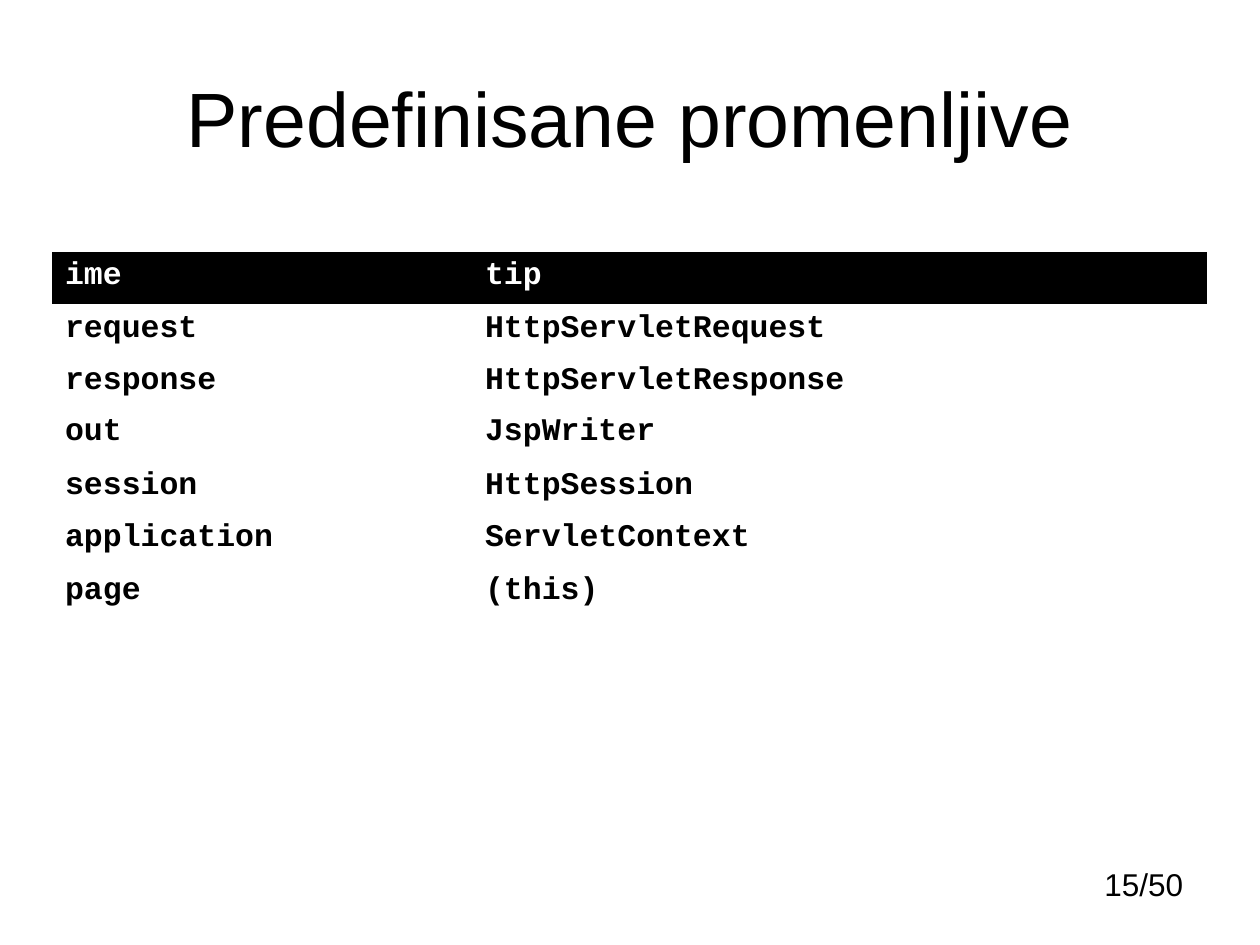
import pptx
import pptx.util
import pptx.dml.color
import pptx.enum.text
from pptx.util import Pt

TITLE = "Predefinisane promenljive"
PAGE_NUMBER = "15/50"
VARIABLES = [
    ("ime", "tip"),
    ("request", "HttpServletRequest"),
    ("response", "HttpServletResponse"),
    ("out", "JspWriter"),
    ("session", "HttpSession"),
    ("application", "ServletContext"),
    ("page", "(this)"),
]
COLUMN_WIDTHS = (240, 420)
ROW_HEIGHTS = (30, 30, 29, 31, 30, 30, 30)
COLORS = {"ink": "000000", "paper": "FFFFFF"}
NO_STYLE_NO_GRID = "{2D5ABB26-0587-4C30-8999-92F81FD0307C}"
ALIGN = pptx.enum.text.PP_ALIGN


def rgb(name):
    return pptx.dml.color.RGBColor.from_string(COLORS[name])


def write(frame, text, size, font="Arial", color="ink", bold=False, align=ALIGN.LEFT):
    frame.text = text
    paragraph = frame.paragraphs[0]
    paragraph.alignment = align
    run_font = paragraph.runs[0].font
    run_font.name = font
    run_font.size = Pt(size)
    run_font.bold = bold
    run_font.color.rgb = rgb(color)


def place(shape, left, top, width, height):
    shape.left, shape.top = Pt(left), Pt(top)
    shape.width, shape.height = Pt(width), Pt(height)


def add_variable_table(slide):
    frame = slide.shapes.add_table(
        len(VARIABLES), len(COLUMN_WIDTHS),
        Pt(30), Pt(144), Pt(sum(COLUMN_WIDTHS)), Pt(sum(ROW_HEIGHTS)))
    table = frame.table
    table.horz_banding = False
    table._tbl.tblPr.find(pptx.oxml.ns.qn("a:tableStyleId")).text = NO_STYLE_NO_GRID
    for column, width in zip(table.columns, COLUMN_WIDTHS):
        column.width = Pt(width)
    for index, (row, height, texts) in enumerate(zip(table.rows, ROW_HEIGHTS, VARIABLES)):
        row.height = Pt(height)
        is_header = index == 0
        for cell, text in zip(row.cells, texts):
            if is_header:
                cell.fill.solid()
                cell.fill.fore_color.rgb = rgb("ink")
            else:
                cell.fill.background()
            write(cell.text_frame, text, 18, "Courier New",
                  "paper" if is_header else "ink", bold=True)


def main():
    deck = pptx.Presentation()
    deck.slide_width, deck.slide_height = Pt(720), Pt(540)
    slide = deck.slides.add_slide(deck.slide_layouts[5])

    title = slide.shapes.title
    place(title, 36, 21.6, 648, 90)
    write(title.text_frame, TITLE, 44, align=ALIGN.CENTER)
    title.text_frame.vertical_anchor = pptx.enum.text.MSO_ANCHOR.MIDDLE

    add_variable_table(slide)

    page = slide.shapes.add_textbox(Pt(547.2), Pt(491), Pt(136), Pt(28.8))
    page.text_frame.word_wrap = True
    write(page.text_frame, PAGE_NUMBER, 18, align=ALIGN.RIGHT)

    deck.save("out.pptx")


if __name__ == "__main__":
    main()
